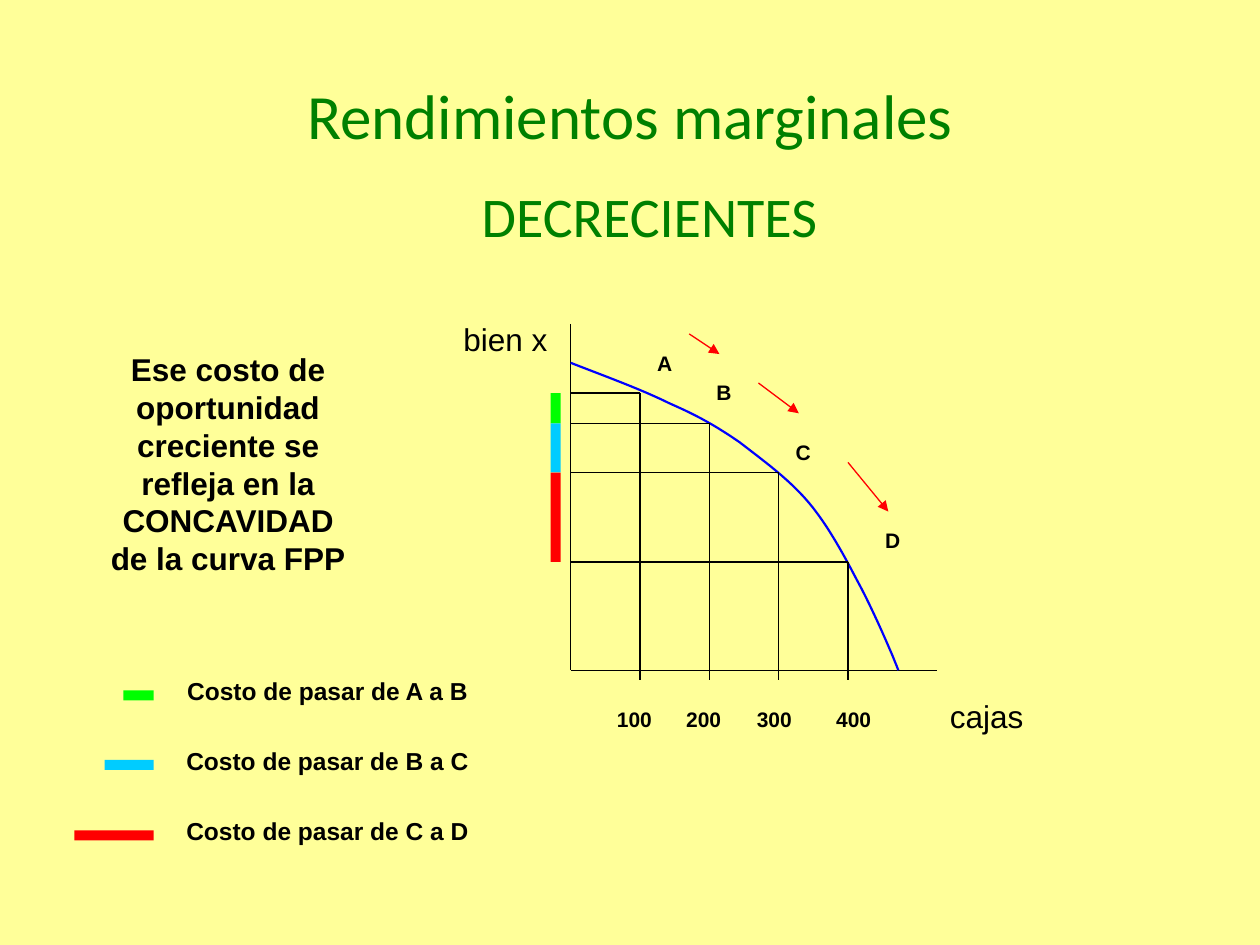
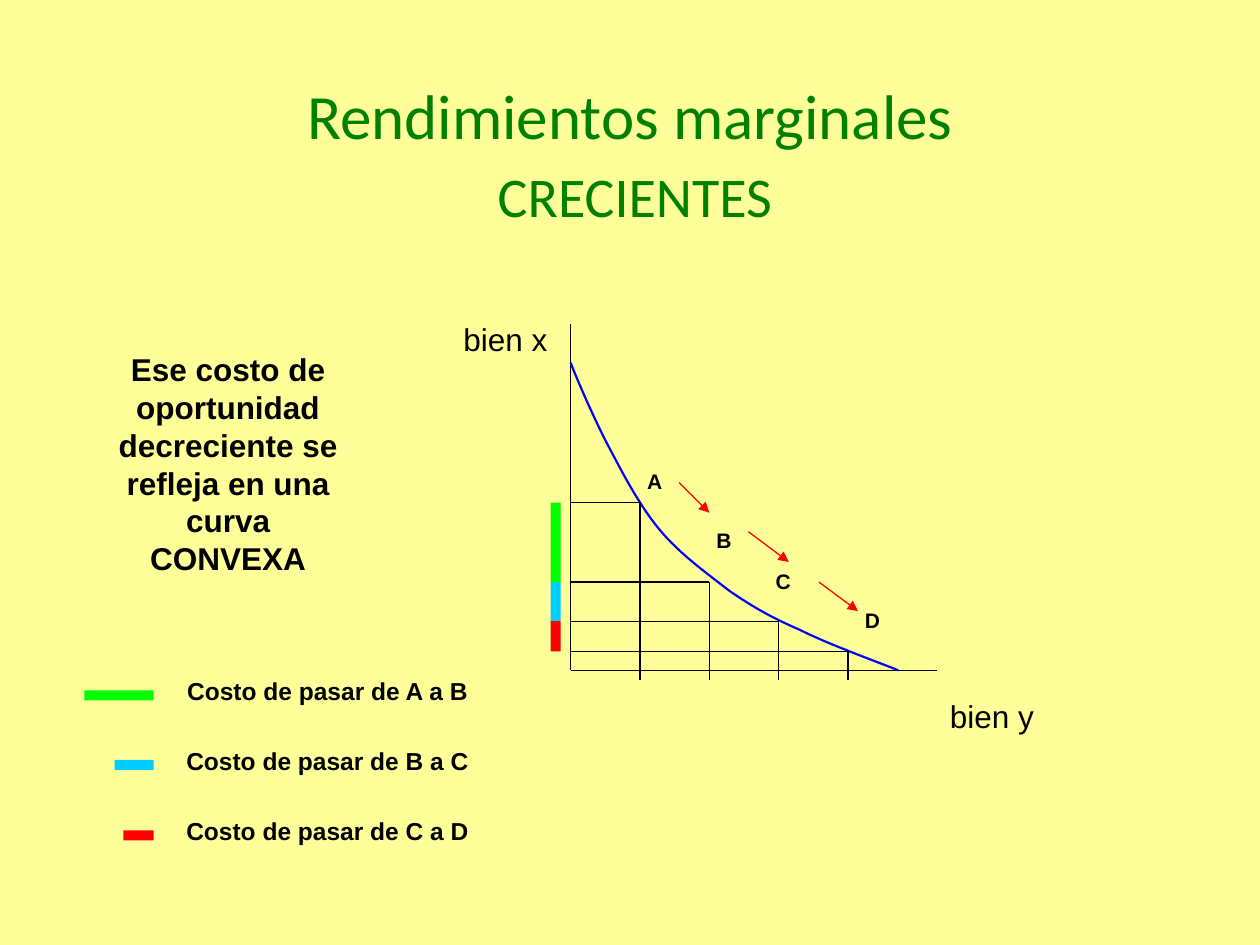
import lxml.etree
import pptx
import pptx.dml.color
import pptx.enum.shapes
import pptx.enum.text
import pptx.oxml.ns
import pptx.util

PX = 9144  # EMU in one px, 100 px to the inch
rgb = pptx.dml.color.RGBColor.from_string
qn = pptx.oxml.ns.qn
ALIGN = pptx.enum.text.PP_ALIGN
AUTO = pptx.enum.text.MSO_AUTO_SIZE

BLACK, RED, GREEN = "000000", "FF0000", "008000"
STEP_COLORS = ["00FF00", "00CCFF", RED]
TITLE = dict(name="Calibri", size=36, bold=False)
SUBTITLE = dict(name="Calibri", size=32, bold=False)
AXIS = dict(name="Arial", size=18, bold=False)
NOTE = dict(name="Arial", size=18, bold=True)
LEGEND = dict(name="Arial", size=14, bold=True)
LABEL = dict(name="Arial", size=12, bold=True)

LEFT, BOTTOM = 453, 532
COLUMNS = [508 + 55 * i for i in range(4)]
# Start point, then two control points and an end point for each segment
CURVE = [(453, 288), (481, 299), (509, 309), (531, 320), (554, 330), (568, 338),
         (587, 351), (605, 365), (626, 380), (642, 399), (657, 417), (669, 439),
         (681, 462), (693, 484), (709, 521), (713, 532)]

SLIDES = [
    dict(subtitle="DECRECIENTES", subtitle_box=(287, 139, 457, 64),
         note="Ese costo de oportunidad creciente se refleja en la CONCAVIDAD de la curva FPP",
         x_axis="cajas", curve=CURVE, rows=[312, 336, 375, 446],
         ticks=[("100", 476), ("200", 531), ("300", 587), ("400", 650)],
         points=[(508, 273), (555, 296), (618, 344), (689, 414)],
         keys=[24, 39, 63],
         arrows=[(547, 265, 571, 281), (602, 304, 634, 328), (673, 367, 705, 406)]),
    dict(subtitle="CRECIENTES", subtitle_box=(327, 123, 354, 64),
         note="Ese costo de oportunidad decreciente se refleja en una curva CONVEXA",
         x_axis="bien y", curve=[(1166 - x, 820 - y) for x, y in CURVE],
         rows=[399, 462, 493, 517], ticks=[],
         points=[(500, 367), (555, 414), (602, 446), (673, 477)],
         keys=[55, 31, 24],
         arrows=[(539, 383, 563, 407), (594, 422, 626, 446), (650, 462, 681, 485)]),
]


def write(sp, box, text, font, color=BLACK, align=ALIGN.CENTER):
    """Place a shape and fill it with one formatted run."""
    for side, value in zip(("left", "top", "width", "height"), box):
        setattr(sp, side, value * PX)
    tf = sp.text_frame
    tf.word_wrap = True
    tf.auto_size = AUTO.SHAPE_TO_FIT_TEXT
    p = tf.paragraphs[0]
    p.alignment = align
    p.space_before = pptx.util.Pt(font["size"] * 0.625)
    r = p.add_run()
    r.text = text
    for key, value in font.items():
        setattr(r.font, key, pptx.util.Pt(value) if key == "size" else value)
    r.font.color.rgb = rgb(color)


def add_line(s, ends, color=BLACK, arrow=False):
    line = s.shapes.add_connector(pptx.enum.shapes.MSO_CONNECTOR.STRAIGHT,
                                  *[v * PX for v in ends])
    line.line.color.rgb = rgb(color)
    line.line.width = pptx.util.Pt(0.75)
    props = line._element.spPr
    if arrow:
        lxml.etree.SubElement(props.find(qn("a:ln")), qn("a:tailEnd"), type="triangle")
    lxml.etree.SubElement(props, qn("a:effectLst"))


prs = pptx.Presentation()
prs.slide_width, prs.slide_height = 1000 * PX, 750 * PX
background = prs.slide_master.background.fill
background.solid()
background.fore_color.rgb = rgb("FFFF99")

for data in SLIDES:
    s = prs.slides.add_slide(prs.slide_layouts.get_by_name("Title Only"))
    title = s.shapes.title
    write(title, (75, 28, 850, 126), "Rendimientos marginales", TITLE, GREEN)
    title.text_frame.auto_size = AUTO.NONE
    title.text_frame.vertical_anchor = pptx.enum.text.MSO_ANCHOR.MIDDLE
    title.text_frame.paragraphs[0].space_before = pptx.util.Pt(0)

    # Axes
    add_line(s, (LEFT, 257, LEFT, BOTTOM))
    add_line(s, (LEFT, BOTTOM, 744, BOTTOM))

    # Frontier, sampled along its Bézier segments
    curve = data["curve"]
    dots = [curve[0]]
    for i in range(0, len(curve) - 1, 3):
        for t in [k / 12 for k in range(1, 13)]:
            weights = ((1 - t) ** 3, 3 * t * (1 - t) ** 2, 3 * t ** 2 * (1 - t), t ** 3)
            dots.append([sum(w * c for w, c in zip(weights, axis))
                         for axis in zip(*curve[i:i + 4])])
    dots = [(round(x * PX), round(y * PX)) for x, y in dots]
    builder = s.shapes.build_freeform(*dots[0], scale=1.0)
    builder.add_line_segments(dots[1:], close=False)
    frontier = builder.convert_to_shape()
    frontier.shadow.inherit = False
    frontier.fill.background()
    frontier.line.color.rgb = rgb("0000FF")
    frontier.line.width = pptx.util.Pt(1.25)

    # Guides from each point to both axes
    for x, y in zip(COLUMNS, data["rows"]):
        add_line(s, (x, BOTTOM - 7, x, BOTTOM + 8))
        add_line(s, (x, BOTTOM, x, y))
        add_line(s, (x, y, LEFT, y))

    # Cost of each step: bar beside the axis and key in the legend
    texts = [(data["subtitle_box"], data["subtitle"], SUBTITLE, GREEN),
             ((75, 273, 212, 190), data["note"], NOTE),
             ((358, 249, 110, 40), "bien x", AXIS, BLACK, ALIGN.LEFT),
             ((744, 548, 118, 40), data["x_axis"], AXIS, BLACK, ALIGN.LEFT)]
    rows = data["rows"]
    for i, (color, key) in enumerate(zip(STEP_COLORS, data["keys"])):
        offset = i * 111 // 2
        for box in [(437, rows[i], 8, rows[i + 1] - rows[i]),
                    (122 - key, 548 + offset, key, 8)]:
            bar = s.shapes.add_shape(pptx.enum.shapes.MSO_SHAPE.RECTANGLE,
                                     *[v * PX for v in box])
            bar.shadow.inherit = False
            bar.fill.solid()
            bar.fill.fore_color.rgb = rgb(color)
            bar.line.fill.background()
        texts.append(((138, 532 + offset, 244, 34),
                      f"Costo de pasar de {'ABC'[i]} a {'BCD'[i]}", LEGEND))

    texts += [((x, 556, 55, 30), tick, LABEL) for tick, x in data["ticks"]]
    texts += [((x, y, 39, 30), name, LABEL) for name, (x, y) in zip("ABCD", data["points"])]
    for text in texts:
        write(s.shapes.add_textbox(0, 0, 0, 0), *text)

    for ends in data["arrows"]:
        add_line(s, ends, RED, arrow=True)

prs.save("out.pptx")
